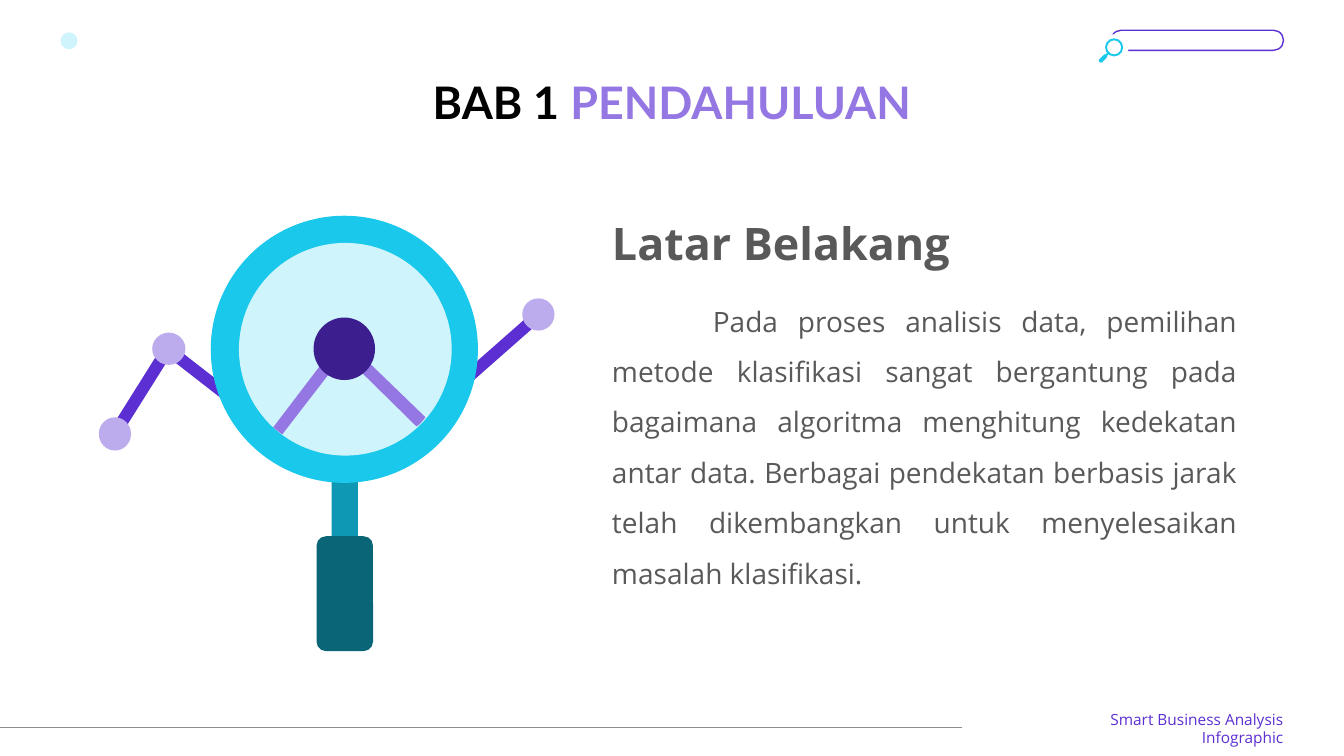
from dataclasses import dataclass

from lxml import etree
from pptx import Presentation
from pptx.dml.color import RGBColor
from pptx.enum.shapes import MSO_CONNECTOR, MSO_SHAPE
from pptx.enum.text import MSO_ANCHOR, MSO_AUTO_SIZE, PP_ALIGN
from pptx.oxml.ns import qn
from pptx.slide import Slide
from pptx.util import Emu, Pt

PX = 9144

RECTANGLE = MSO_SHAPE.RECTANGLE
ROUNDED = MSO_SHAPE.ROUNDED_RECTANGLE
OVAL = MSO_SHAPE.OVAL
DONUT = MSO_SHAPE.DONUT
STRAIGHT = MSO_CONNECTOR.STRAIGHT
TOP = MSO_ANCHOR.TOP
MIDDLE = MSO_ANCHOR.MIDDLE
FIT_SHAPE = MSO_AUTO_SIZE.SHAPE_TO_FIT_TEXT
NO_FIT = MSO_AUTO_SIZE.NONE
LEFT = PP_ALIGN.LEFT
CENTER = PP_ALIGN.CENTER
RIGHT = PP_ALIGN.RIGHT
JUSTIFY = PP_ALIGN.JUSTIFY

BLACK = RGBColor(0x00, 0x00, 0x00)
WHITE = RGBColor(0xFF, 0xFF, 0xFF)
TEXT_GRAY = RGBColor(0x59, 0x59, 0x59)
RULE_GRAY = RGBColor(0x8C, 0x8C, 0x8C)
VIOLET = RGBColor(0x5C, 0x2F, 0xD2)
DARK_VIOLET = RGBColor(0x3C, 0x1E, 0x8E)
LILAC = RGBColor(0x94, 0x77, 0xE2)
PALE_LILAC = RGBColor(0xBD, 0xAC, 0xED)
CYAN = RGBColor(0x19, 0xC8, 0xEB)
PALE_CYAN = RGBColor(0xD0, 0xF4, 0xFB)
TEAL = RGBColor(0x0F, 0x98, 0xB3)
DARK_TEAL = RGBColor(0x0A, 0x65, 0x77)


@dataclass(frozen=True)
class Box:
    left: int
    top: int
    width: int
    height: int

    def emu(self) -> tuple[Emu, Emu, Emu, Emu]:
        return (Emu(self.left * PX), Emu(self.top * PX),
                Emu(self.width * PX), Emu(self.height * PX))


@dataclass(frozen=True)
class Figure:
    kind: MSO_SHAPE
    box: Box
    fill: RGBColor | None
    rotation: float = 0
    adjustment: float | None = None
    outline: RGBColor | None = None


@dataclass(frozen=True)
class Rod:
    points: tuple[tuple[int, int], ...]
    fill: RGBColor


@dataclass(frozen=True)
class Label:
    box: Box
    runs: tuple[tuple[str, RGBColor], ...]
    font: str
    size: int
    bold: bool = False
    alignment: PP_ALIGN = LEFT
    spacing: float = 1.0
    anchor: MSO_ANCHOR = TOP
    fit: MSO_AUTO_SIZE = FIT_SHAPE
    indent: int = 0


CHART_AND_GLASS = (
    Figure(RECTANGLE, Box(488, 298, 12, 100), VIOLET, 48.6),
    Figure(RECTANGLE, Box(201, 328, 12, 100), VIOLET, 127.9),
    Figure(RECTANGLE, Box(133, 340, 12, 100), VIOLET, 32.1),
    Figure(RECTANGLE, Box(329, 471, 26, 61), TEAL),
    Figure(OVAL, Box(209, 214, 265, 265), CYAN),
    Figure(OVAL, Box(98, 414, 32, 33), PALE_LILAC),
    Figure(ROUNDED, Box(314, 532, 56, 114), DARK_TEAL, adjustment=0.167),
    Figure(OVAL, Box(151, 330, 33, 32), PALE_LILAC),
    Figure(OVAL, Box(518, 296, 32, 32), PALE_LILAC),
    Figure(OVAL, Box(237, 241, 211, 211), PALE_CYAN),
)

LENS_RODS = (
    Rod(((325, 353), (334, 361), (280, 431), (271, 424)), LILAC),
    Rod(((358, 352), (422, 414), (416, 421), (413, 423), (350, 361)), LILAC),
)

HUB_AND_HEADER = (
    Figure(OVAL, Box(311, 315, 61, 62), DARK_VIOLET),
    Figure(ROUNDED, Box(1102, 30, 171, 20), None, adjustment=0.5, outline=VIOLET),
    Figure(OVAL, Box(1087, 34, 32, 32), WHITE),
    Figure(DONUT, Box(1096, 38, 18, 18), CYAN, adjustment=0.11),
    Figure(RECTANGLE, Box(1097, 51, 2, 6), CYAN, 45),
    Figure(ROUNDED, Box(1092, 53, 4, 10), CYAN, 45, 0.5),
    Figure(OVAL, Box(60, 32, 17, 17), PALE_CYAN),
)

LABELS = (
    Label(Box(60, 80, 1213, 81), (("BAB 1 ", BLACK), ("PENDAHULUAN", LILAC)),
          "Lato", 32, bold=True, alignment=CENTER, spacing=0.9, fit=NO_FIT),
    Label(Box(607, 214, 620, 54), (("Latar Belakang", TEXT_GRAY),),
          "Open Sans", 32, bold=True),
    Label(Box(607, 285, 620, 303),
          (("Pada proses analisis data, pemilihan metode klasifikasi sangat "
            "bergantung pada bagaimana algoritma menghitung kedekatan antar data. "
            "Berbagai pendekatan berbasis jarak telah dikembangkan untuk "
            "menyelesaikan masalah klasifikasi.", TEXT_GRAY),),
          "Open Sans", 20, alignment=JUSTIFY, spacing=1.5, indent=100),
    Label(Box(1017, 713, 256, 19), (("Smart Business Analysis Infographic", VIOLET),),
          "Open Sans", 11, alignment=RIGHT, anchor=MIDDLE),
)


def draw_figure(slide: Slide, figure: Figure) -> None:
    shape = slide.shapes.add_shape(figure.kind, *figure.box.emu())
    shape.shadow.inherit = False
    shape.rotation = figure.rotation
    if figure.adjustment is not None:
        shape.adjustments[0] = figure.adjustment
    if figure.fill is None:
        shape.fill.background()
    else:
        shape.fill.solid()
        shape.fill.fore_color.rgb = figure.fill
    if figure.outline is None:
        shape.line.fill.background()
    else:
        shape.line.color.rgb = figure.outline
        shape.line.width = Pt(1)


def draw_rod(slide: Slide, rod: Rod) -> None:
    builder = slide.shapes.build_freeform(*rod.points[0], scale=PX)
    builder.add_line_segments(rod.points[1:], close=True)
    shape = builder.convert_to_shape()
    shape.shadow.inherit = False
    shape.fill.solid()
    shape.fill.fore_color.rgb = rod.fill
    shape.line.fill.background()


def draw_label(slide: Slide, label: Label) -> None:
    frame = slide.shapes.add_textbox(*label.box.emu()).text_frame
    frame.margin_left = frame.margin_right = 0
    frame.margin_top = frame.margin_bottom = 0
    frame.word_wrap = True
    frame.auto_size = label.fit
    frame.vertical_anchor = label.anchor
    paragraph = frame.paragraphs[0]
    paragraph.alignment = label.alignment
    paragraph.line_spacing = label.spacing
    paragraph.font.name = label.font
    paragraph.font.size = Pt(label.size)
    paragraph.font.bold = label.bold
    if label.indent:
        properties = paragraph._p.get_or_add_pPr()
        properties.set("marL", "0")
        properties.set("indent", str(label.indent * PX))
    for text, color in label.runs:
        run = paragraph.add_run()
        run.text = text
        run.font.color.rgb = color


def draw_footer_rule(slide: Slide) -> None:
    height = Emu(722 * PX)
    rule = slide.shapes.add_connector(STRAIGHT, 0, height, Emu(954 * PX), height)
    rule.line.color.rgb = RULE_GRAY
    rule.line.width = Pt(0.75)
    etree.SubElement(rule._element.spPr, qn("a:effectLst"))


def main() -> None:
    presentation = Presentation()
    presentation.slide_width = Emu(1333 * PX)
    presentation.slide_height = Emu(750 * PX)
    slide = presentation.slides.add_slide(presentation.slide_layouts[6])
    for figure in CHART_AND_GLASS:
        draw_figure(slide, figure)
    for rod in LENS_RODS:
        draw_rod(slide, rod)
    for figure in HUB_AND_HEADER:
        draw_figure(slide, figure)
    for label in LABELS:
        draw_label(slide, label)
    draw_footer_rule(slide)
    presentation.save("out.pptx")


if __name__ == "__main__":
    main()
